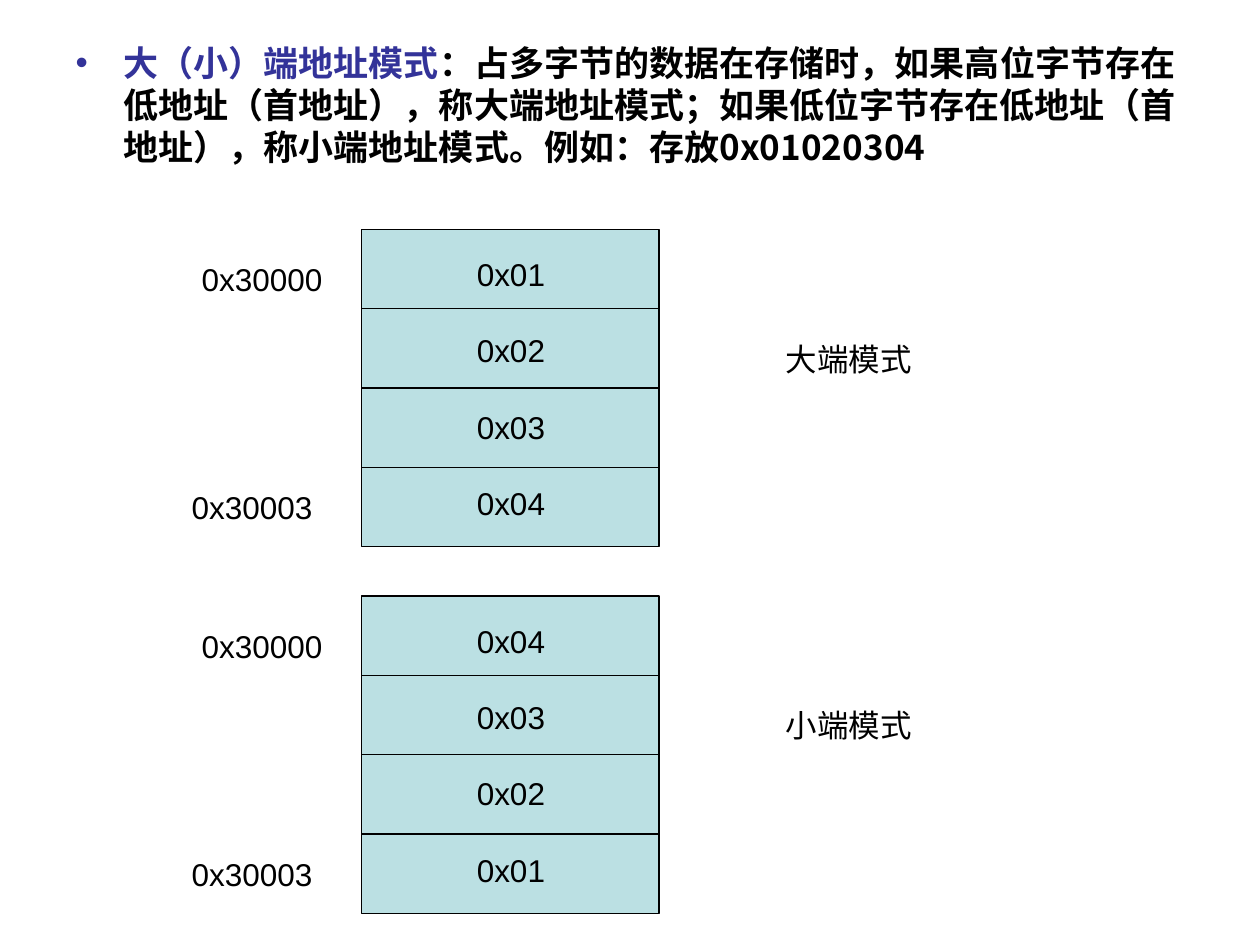
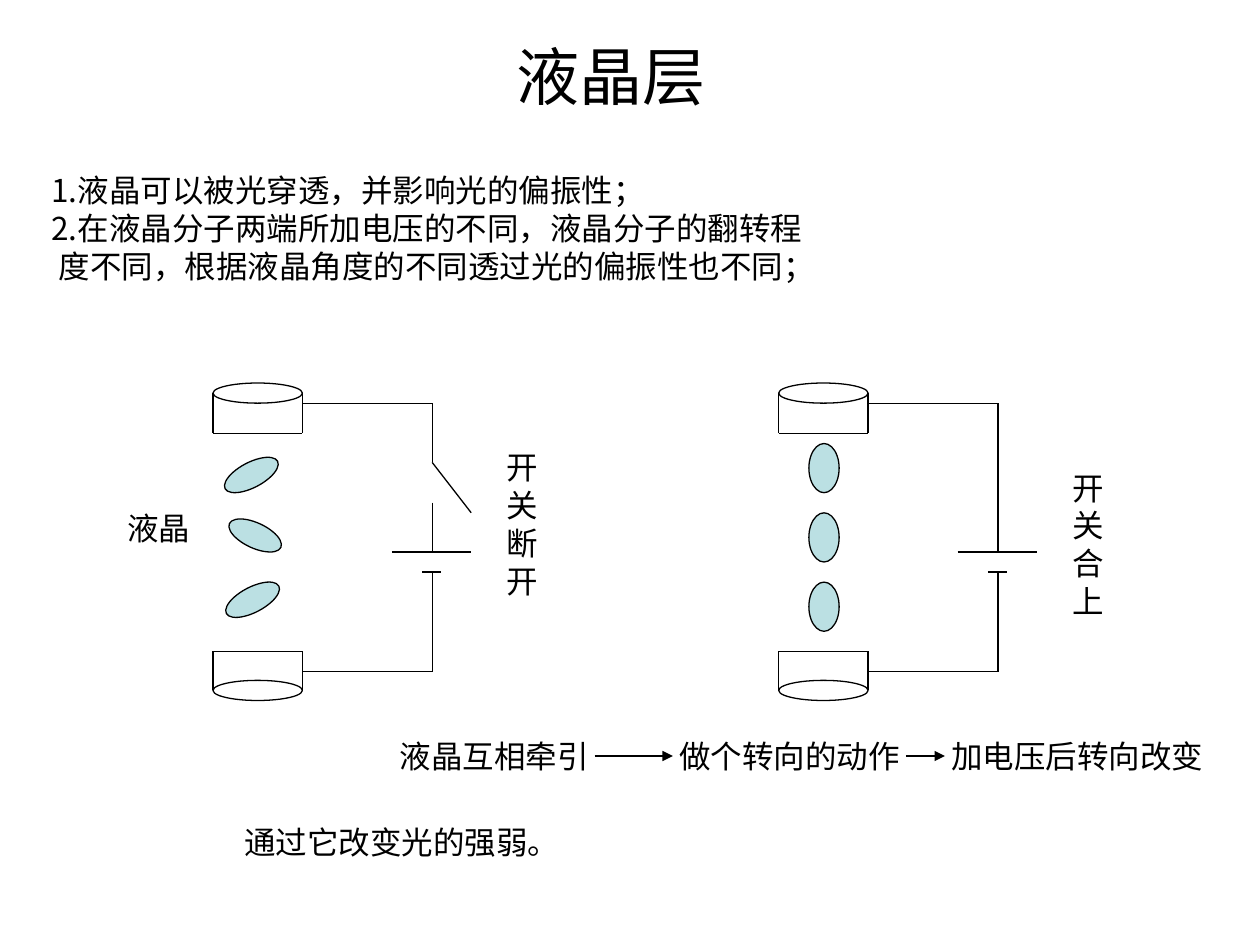
from itertools import pairwise

from lxml import etree
from pptx import Presentation
from pptx import util as u
from pptx.dml.color import RGBColor
from pptx.enum import shapes, text
from pptx.oxml import ns

BLACK, BLUE, AQUA = "000000", "333399", "BBE0E3"
SANS, CJK, LABEL = "Arial", "Noto Sans CJK SC", "Montserrat"
LEFT, CENTER, RIGHT = text.PP_ALIGN.LEFT, text.PP_ALIGN.CENTER, text.PP_ALIGN.RIGHT
TOP, MIDDLE = text.MSO_ANCHOR.TOP, text.MSO_ANCHOR.MIDDLE
LINE_WIDTH = u.Pt(0.75)


def color(value):
    """Turn a hex string into a colour."""
    return RGBColor.from_string(value)


def apply(target, **values):
    """Set each named attribute of the target."""
    for name, value in values.items():
        setattr(target, name, value)


def add_run(paragraph, words, size, font, ink=BLACK, bold=False):
    """Append a run that uses one font for Latin and a CJK font for Chinese."""
    run = paragraph.add_run()
    run.text = words
    apply(run.font, size=u.Pt(size), name=font, bold=bold)
    run.font.color.rgb = color(ink)
    east_asian = etree.SubElement(run._r.get_or_add_rPr(), ns.qn("a:ea"))
    east_asian.set("typeface", CJK)


def place(shape, box):
    """Move a shape to a box given in inches."""
    values = map(u.Inches, box)
    apply(shape, **dict(zip(("left", "top", "width", "height"), values)))


def format_frame(frame, anchor):
    """Give a text frame the common insets and wrapping."""
    apply(frame, word_wrap=True, auto_size=text.MSO_AUTO_SIZE.NONE, vertical_anchor=anchor,
          margin_left=u.Inches(0.1), margin_right=u.Inches(0.1),
          margin_top=u.Inches(0.05), margin_bottom=u.Inches(0.05))


def format_paragraph(paragraph, size, align=LEFT):
    """Set alignment and a line pitch of 1.2 times the text size."""
    apply(paragraph, alignment=align, line_spacing=u.Pt(size * 1.2), space_before=u.Pt(0))


def add_text(slide, box, lines, font=SANS, size=18, align=CENTER, anchor=MIDDLE):
    """Add a text box with one paragraph per line."""
    frame = slide.shapes.add_textbox(*map(u.Inches, box)).text_frame
    format_frame(frame, anchor)
    for index, line in enumerate(lines):
        paragraph = frame.add_paragraph() if index else frame.paragraphs[0]
        format_paragraph(paragraph, size, align)
        add_run(paragraph, line, size, font)
    return frame


def add_shape(slide, kind, box, fill=None, rotation=0):
    """Add a thinly outlined shape with an optional fill."""
    shape = slide.shapes.add_shape(kind, *map(u.Inches, box))
    shape.shadow.inherit = False
    shape.rotation = rotation
    if fill:
        shape.fill.solid()
        shape.fill.fore_color.rgb = color(fill)
    else:
        shape.fill.background()
    shape.line.color.rgb = color(BLACK)
    shape.line.width = LINE_WIDTH
    return shape


def add_line(slide, x1, y1, x2, y2, arrow=False):
    """Add a thin straight line, with an arrowhead at its end if asked."""
    line = slide.shapes.add_connector(
        shapes.MSO_CONNECTOR.STRAIGHT, *map(u.Inches, (x1, y1, x2, y2)))
    line.line.color.rgb = color(BLACK)
    line.line.width = LINE_WIDTH
    properties = line._element.spPr
    etree.SubElement(properties, ns.qn("a:effectLst"))
    if arrow:
        outline = properties.find(ns.qn("a:ln"))
        etree.SubElement(outline, ns.qn("a:tailEnd")).set("type", "triangle")
    return line


def add_memory(slide, left, top, values, mode):
    """Draw four memory bytes with their end addresses and mode name."""
    width, row = 2.36, 0.63
    block = add_shape(slide, shapes.MSO_SHAPE.RECTANGLE,
                      (left, top, width, row * len(values)), AQUA)
    for index in range(1, len(values)):
        y = top + index * row
        divider = add_line(slide, left, y, left + width, y)
        if index * 2 == len(values):
            divider.begin_connect(block, 1)
            divider.end_connect(block, 3)
    for index, value in enumerate(values):
        add_text(slide, (left + 0.24, top + 0.08 + index * 0.605, 1.89, 0.55), [value])
    add_text(slide, (left + 2.76, top + row, 2.21, 0.79), [mode])
    add_text(slide, (left - 1.89, top, 2.2, 0.79), ["0x30000"])
    add_text(slide, (left - 1.97, top + 1.81, 2.2, 0.79), ["0x30003"])


def fill_definition(body, box):
    """Write the bulleted definition into the body placeholder."""
    place(body, box)
    format_frame(body.text_frame, TOP)
    paragraph = body.text_frame.paragraphs[0]
    format_paragraph(paragraph, 20)
    properties = paragraph._p.get_or_add_pPr()
    properties.set("marL", str(u.Inches(0.38)))
    properties.set("indent", str(-u.Inches(0.38)))
    bullet_color = etree.SubElement(properties, ns.qn("a:buClr"))
    etree.SubElement(bullet_color, ns.qn("a:srgbClr")).set("val", BLUE)
    etree.SubElement(properties, ns.qn("a:buChar")).set("char", "•")
    add_run(paragraph, "大（小）端地址模式", 20, CJK, BLUE, True)
    add_run(paragraph, "：占多字节的数据在存储时，如果高位字节存在低地址（首地址），"
            "称大端地址模式；如果低位字节存在低地址（首地址），称小端地址模式。"
            "例如：存放0x01020304", 20, CJK, BLACK, True)


def build_endian_slide(deck):
    """Build the slide that compares big and little endian storage."""
    slide = deck.slides.add_slide(deck.slide_layouts[1])
    title = slide.shapes.title._element
    title.getparent().remove(title)
    fill_definition(slide.placeholders[1], (0.5, 0.28, 9, 6.41))
    values = ["0x01", "0x02", "0x03", "0x04"]
    add_memory(slide, 2.87, 1.82, values, "大端模式")
    add_memory(slide, 2.87, 4.73, values[::-1], "小端模式")


def add_electrode(slide, left, rim, edge):
    """Draw a cup with an oval rim and a flat edge."""
    width, depth = 0.71, 0.16
    right = left + width
    add_shape(slide, shapes.MSO_SHAPE.OVAL, (left, rim - depth / 2, width, depth))
    for ends in ((left, rim, left, edge), (right, rim, right, edge), (left, edge, right, edge)):
        add_line(slide, *ends)


def add_circuit(slide, left, top, switch, molecules):
    """Draw electrodes, wires, switch, battery and crystal molecules."""
    add_electrode(slide, left, top + 0.08, top + 0.4)
    add_electrode(slide, left, top + 2.44, top + 2.13)
    wire = 1.74
    wires = [(0.71, 0.16, wire, 0.16), (0.71, 2.29, wire, 2.29), (wire, 1.5, wire, 2.29)]
    battery = [(wire - 0.32, 1.34, wire + 0.31, 1.34), (wire - 0.08, 1.5, wire + 0.07, 1.5)]
    for x1, y1, x2, y2 in wires + battery + switch:
        add_line(slide, left + x1, top + y1, left + x2, top + y2)
    for x, y, width, height, rotation in molecules:
        add_shape(slide, shapes.MSO_SHAPE.OVAL,
                  (left + x, top + y, width, height), AQUA, rotation)


def add_captions(slide, top):
    """Write the chain of steps with an arrow in each gap between them."""
    steps = (("液晶互相牵引", 4.77), ("做个转向的动作", 7.24), ("加电压后转向改变", 9.65))
    inset, letter, gap = 0.1, 0.25, 0.05
    for step, right in steps:
        add_text(slide, (right - 2.5, top, 2.5, 0.4), [step], LABEL, align=RIGHT, anchor=TOP)
    for (_, right), (following, following_right) in pairwise(steps):
        start = right - inset + gap
        end = following_right - inset - letter * len(following) - gap
        add_line(slide, start, top + 0.2, end, top + 0.2, arrow=True)


def build_crystal_slide(deck):
    """Build the slide about the liquid crystal layer."""
    slide = deck.slides.add_slide(deck.slide_layouts[5])
    title = slide.shapes.title
    place(title, (4, 0.28, 2.36, 0.63))
    format_frame(title.text_frame, MIDDLE)
    heading = title.text_frame.paragraphs[0]
    format_paragraph(heading, 36)
    add_run(heading, "液晶层", 36, CJK)

    points = add_text(slide, (0.31, 0.85, 8.56, 1.92), [
        "1.液晶可以被光穿透，并影响光的偏振性；",
        "2.在液晶分子两端所加电压的不同，液晶分子的翻转程",
        "度不同，根据液晶角度的不同透过光的偏振性也不同；"], CJK, align=LEFT)
    continuation = points.paragraphs[2]._p.get_or_add_pPr()
    continuation.set("marL", str(u.Inches(0.06)))

    open_switch = [(1.74, 0.16, 1.74, 0.63), (1.74, 0.63, 2.05, 1.03), (1.74, 0.95, 1.74, 1.34)]
    closed_switch = [(1.74, 0.16, 1.74, 1.34)]
    tilted = [(0.07, 0.63, 0.47, 0.2, 332.4), (0.11, 1.11, 0.45, 0.2, 24.9),
              (0.08, 1.62, 0.47, 0.2, 332.4)]
    upright = [(0.24, 0.48 + 0.55 * index, 0.24, 0.39, 0) for index in range(3)]
    add_circuit(slide, 1.69, 3.04, open_switch, tilted)
    add_circuit(slide, 6.18, 3.04, closed_switch, upright)

    labels = (("开关断开", (3.82, 3.51, 0.55, 1.3)), ("开关合上", (8.23, 3.67, 0.63, 1.3)),
              ("液晶", (0.67, 3.99, 0.94, 0.4)))
    for label, box in labels:
        add_text(slide, box, [label], LABEL, align=RIGHT, anchor=TOP)
    add_captions(slide, 5.8)
    add_text(slide, (1.84, 6.48, 5.51, 0.4), ["通过它改变光的强弱。"], LABEL, align=LEFT, anchor=TOP)


def main():
    """Build and save the deck."""
    deck = Presentation()
    apply(deck, slide_width=u.Inches(10), slide_height=u.Inches(7.5))
    build_endian_slide(deck)
    build_crystal_slide(deck)
    deck.save("out.pptx")


if __name__ == "__main__":
    main()
